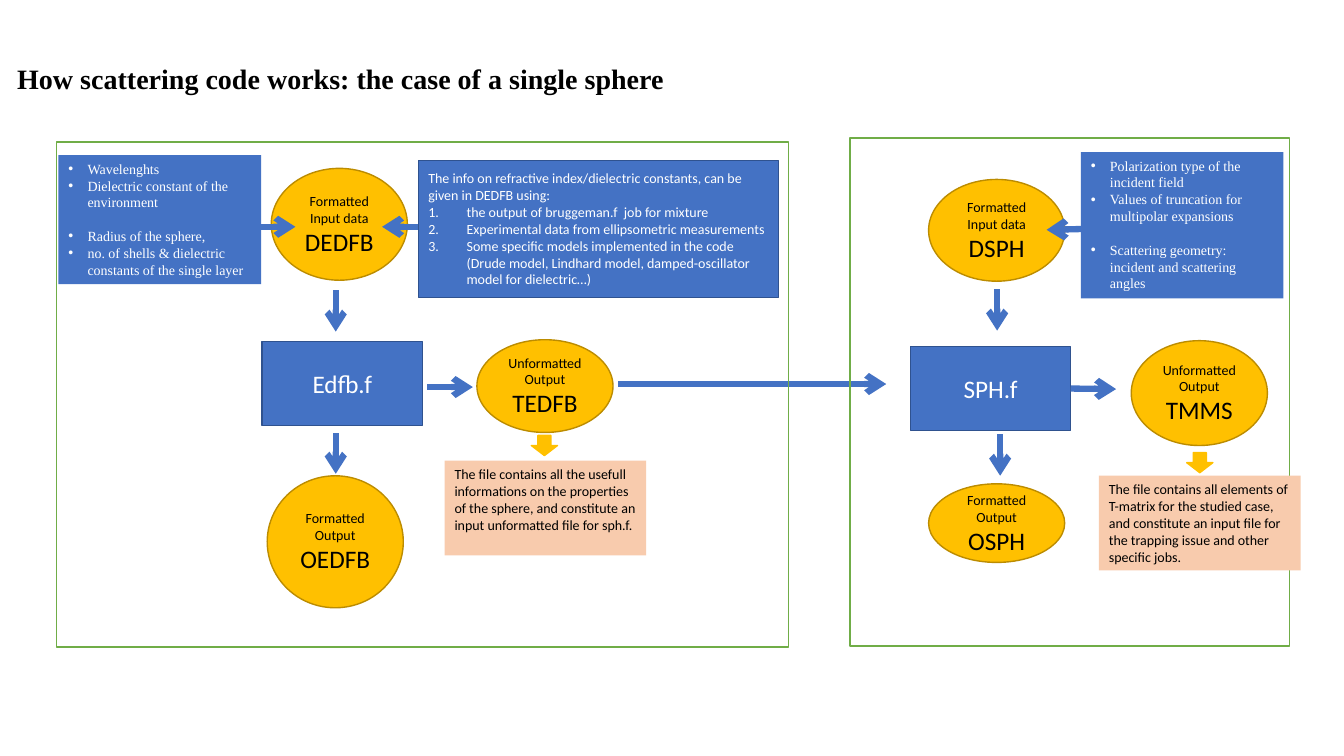
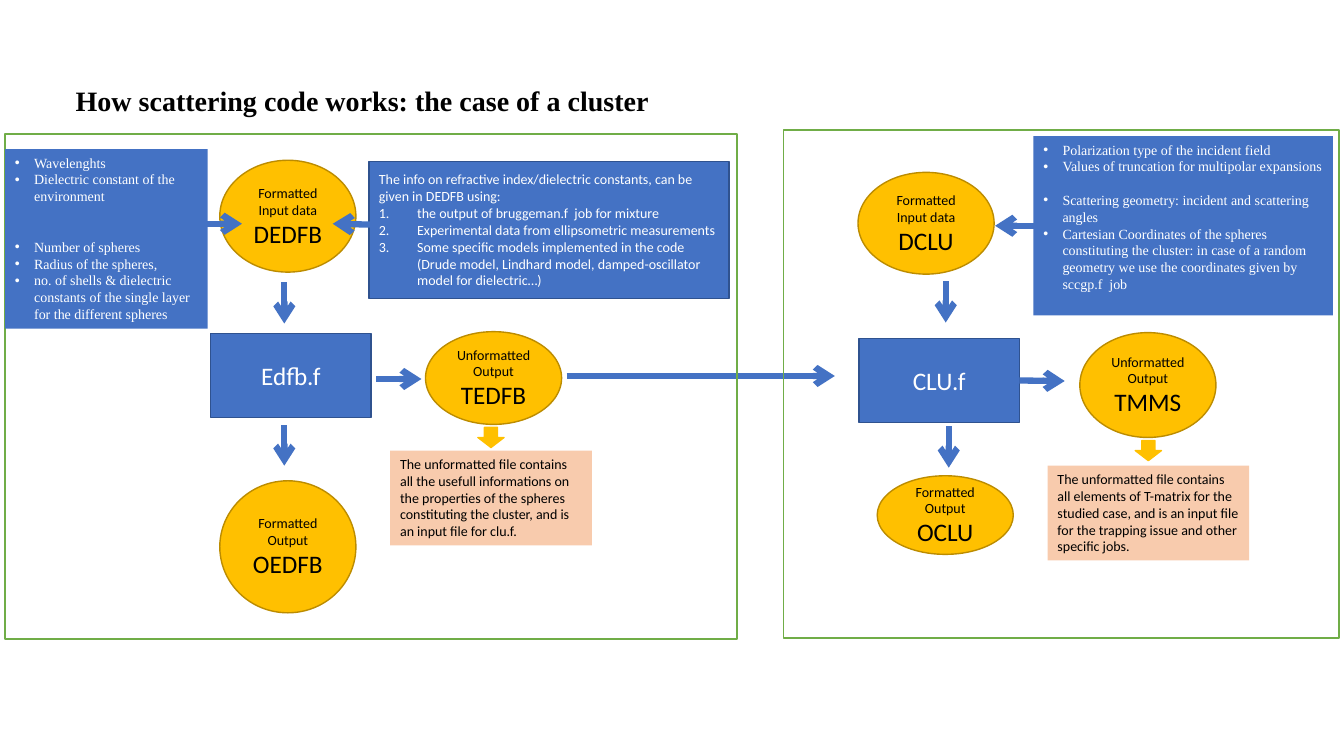
from dataclasses import dataclass

from lxml.etree import SubElement
from pptx import Presentation
from pptx.dml.color import RGBColor
from pptx.enum.shapes import MSO_CONNECTOR, MSO_SHAPE
from pptx.enum.text import MSO_ANCHOR, MSO_AUTO_SIZE, PP_ALIGN
from pptx.oxml.ns import qn
from pptx.util import Inches, Pt


@dataclass(frozen=True)
class Theme:
    """Colours, fonts and sizes shared by the slides."""
    blue: str = "4472C4"
    blue_edge: str = "2F528F"
    gold: str = "FFC000"
    gold_edge: str = "BC8C00"
    peach: str = "F8CBAD"
    green: str = "70AD47"
    white: str = "FFFFFF"
    black: str = "000000"
    sans: str = "Calibri"
    serif: str = "Times New Roman"
    title: int = 20
    name: int = 18
    body: int = 10
    edge: int = 1
    arrow: float = 4.5


T = Theme()
BULLETS = {
    "dot": (0.19, "a:buChar", {"char": "•"}),
    "num": (0.38, "a:buAutoNum", {"type": "arabicPeriod"}),
}

INFO = [
    ("The info on refractive index/dielectric constants, can be given in DEDFB using:", None, 0),
    ("the output of bruggeman.f  job for mixture", "num", 0),
    ("Experimental data from ellipsometric measurements", "num", 0),
    ("Some specific models implemented in the code (Drude model, Lindhard model, "
     "damped-oscillator model for dielectric…)", "num", 0),
]
MATERIAL = [("Wavelenghts", "dot", 0), ("Dielectric constant of the environment", "dot", 0)]
FIELD = [
    ("Polarization type of the incident field", "dot", 0),
    ("Values of truncation for multipolar expansions", "dot", 0),
    ("Scattering geometry: incident and scattering angles", "dot", 12),
]

PROGRAMS = {"edfb": "Edfb.f", "solver": "{code}.f"}
FILES = {
    "edfb_in": ("Formatted", "Input data", "DEDFB"),
    "edfb_data": ("Unformatted", "Output", "TEDFB"),
    "edfb_out": ("Formatted", "Output", "OEDFB"),
    "solver_in": ("Formatted", "Input data", "D{code}"),
    "solver_out": ("Formatted", "Output", "O{code}"),
    "matrix": ("Unformatted", "Output", "TMMS"),
}
FRAMES = ("solver_frame", "edfb_frame")
POINTERS = ("data_pointer", "matrix_pointer")

BOXES = {
    "edfb": (2.6, 3.39, 1.59, 0.83),
    "solver": (9.03, 3.44, 1.59, 0.83),
    "edfb_in": (2.69, 1.67, 1.35, 1.11),
    "edfb_data": (4.73, 3.37, 1.35, 0.92),
    "edfb_out": (2.65, 4.72, 1.35, 1.31),
    "solver_in": (9.21, 1.78, 1.35, 1.01),
    "solver_out": (9.21, 4.8, 1.35, 0.78),
    "matrix": (11.22, 3.38, 1.35, 1.04),
    "edfb_frame": (0.56, 1.41, 7.26, 5.01),
    "solver_frame": (8.43, 1.37, 4.36, 5.04),
    "info": (4.15, 1.59, 3.57, 1.36),
    "material": (0.58, 1.54, 2.01, 1.28),
    "field": (10.72, 1.51, 2.01, 1.45),
    "data_note": (4.41, 4.57, 2, 0.94),
    "matrix_note": (10.9, 4.72, 2, 0.94),
    "data_pointer": (5.27, 4.32, 0.26, 0.2),
    "matrix_pointer": (11.77, 4.49, 0.26, 0.2),
}
FLOWS = {
    "in_to_edfb": (3.33, 2.88, 3.33, 3.29),
    "edfb_to_out": (3.33, 4.3, 3.33, 4.7),
    "edfb_to_data": (4.24, 3.84, 4.69, 3.84),
    "data_to_solver": (6.13, 3.81, 8.79, 3.81),
    "in_to_solver": (9.89, 2.87, 9.89, 3.28),
    "solver_to_out": (9.92, 4.31, 9.92, 4.72),
    "solver_to_matrix": (10.62, 3.86, 11.07, 3.86),
}
FEEDS = {
    "material_feed": (2.49, 2.25, 2.93, 2.25),
    "info_feed": (4.15, 2.25, 3.79, 2.25),
    "field_feed": (10.84, 2.27, 10.38, 2.28),
}

SLIDES = [
    {
        "title": "How scattering code works: the case of a single sphere",
        "title_at": (0.07, 0.07),
        "code": "SPH",
        "shift": (0, 0),
        "places": {},
        "material": MATERIAL + [
            ("Radius of the sphere,", "dot", 12),
            ("no. of shells & dielectric constants of the single layer", "dot", 0),
        ],
        "field": FIELD,
        "data_note": "The file contains all the usefull informations on the properties of the "
                     "sphere, and constitute an input unformatted file for sph.f.",
        "matrix_note": "The file contains all elements of T-matrix for the studied case, and "
                       "constitute an input file for the trapping issue and other specific jobs.",
    },
    {
        "title": "How scattering code works: the case of a cluster",
        "title_at": (0.65, 0.29),
        "code": "CLU",
        "shift": (-0.51, -0.08),
        "places": {
            "edfb_out": (2.18, 4.77, 1.35, 1.31),
            "solver_in": (8.51, 1.71, 1.35, 1.01),
            "solver_frame": (7.77, 1.29, 5.51, 5.04),
            "info": (3.66, 1.6, 3.57, 1.36),
            "material": (0.05, 1.48, 2.01, 1.78),
            "field": (10.25, 1.35, 2.97, 1.78),
            "data_note": (3.87, 4.47, 2, 0.94),
            "matrix_note": (10.39, 4.62, 2, 0.94),
            "data_pointer": (4.74, 4.24, 0.26, 0.2),
            "matrix_pointer": (11.26, 4.37, 0.26, 0.2),
            "material_feed": (1.95, 2.22, 2.4, 2.22),
            "info_feed": (3.75, 2.23, 3.3, 2.22),
            "field_feed": (10.39, 2.24, 9.87, 2.24),
        },
        "material": MATERIAL + [
            ("Number of spheres", "dot", 24),
            ("Radius of the spheres,", "dot", 0),
            ("no. of shells & dielectric constants of the single layer for the different "
             "spheres", "dot", 0),
        ],
        "field": FIELD + [
            ("Cartesian Coordinates of the spheres constituting the cluster: in case of a random "
             "geometry we use the coordinates given by sccgp.f  job", "dot", 0),
        ],
        "data_note": "The unformatted file contains all the usefull informations on the properties "
                     "of the spheres constituting the cluster, and is an input file for clu.f.",
        "matrix_note": "The unformatted file contains all elements of T-matrix for the studied "
                       "case, and is an input file for the trapping issue and other specific jobs.",
    },
]


def rgb(color):
    """Turn a hex string into a colour."""
    return RGBColor.from_string(color)


def assign(obj, values):
    """Set each attribute named in a dict."""
    for key, value in values.items():
        setattr(obj, key, value)


def add_text(p, text, size, color, font=T.sans, bold=False):
    """Add one formatted run to a paragraph."""
    r = p.add_run()
    r.text = text
    assign(r.font, {"size": Pt(size), "name": font, "bold": bold})
    r.font.color.rgb = rgb(color)


def add_bullet(p, kind):
    """Give a paragraph a hanging bullet or number."""
    indent, tag, attrs = BULLETS[kind]
    pPr = p._p.get_or_add_pPr()
    pPr.set("marL", str(Inches(indent)))
    pPr.set("indent", str(-Inches(indent)))
    if kind == "dot":
        SubElement(pPr, qn("a:buFont"), {"typeface": "Arial"})
    SubElement(pPr, qn(tag), attrs)


def add_box(s, kind, box, fill=None, line=None):
    """Add a flat preset shape."""
    sp = s.shapes.add_shape(kind, *map(Inches, box))
    sp.shadow.inherit = False
    if fill:
        sp.fill.solid()
        sp.fill.fore_color.rgb = rgb(fill)
    else:
        sp.fill.background()
    if line:
        sp.line.color.rgb = rgb(line)
        sp.line.width = Pt(T.edge)
    else:
        sp.line.fill.background()
    return sp


def add_labels(sp, labels, color, margin):
    """Centre (text, size) lines in a shape."""
    tf = sp.text_frame
    assign(tf, {"word_wrap": True, "vertical_anchor": MSO_ANCHOR.MIDDLE,
                "margin_left": margin, "margin_right": margin})
    for i, (text, size) in enumerate(labels):
        p = tf.add_paragraph() if i else tf.paragraphs[0]
        p.alignment = PP_ALIGN.CENTER
        add_text(p, text, size, color)


def add_list(sp, items, color, font=T.sans, anchor=MSO_ANCHOR.TOP):
    """Write (text, bullet, space before) items into a shape."""
    tf = sp.text_frame
    assign(tf, {"word_wrap": True, "vertical_anchor": anchor})
    for i, (text, kind, gap) in enumerate(items):
        p = tf.add_paragraph() if i else tf.paragraphs[0]
        assign(p, {"alignment": PP_ALIGN.LEFT, "space_before": Pt(gap)})
        if kind:
            add_bullet(p, kind)
        add_text(p, text, T.body, color, font)


def add_arrow(s, ends):
    """Add a thick straight arrow."""
    c = s.shapes.add_connector(MSO_CONNECTOR.STRAIGHT, *map(Inches, ends))
    c.line.color.rgb = rgb(T.blue)
    c.line.width = Pt(T.arrow)
    SubElement(c.line._get_or_add_ln(), qn("a:tailEnd"), {"type": "arrow"})
    SubElement(c._element.spPr, qn("a:effectLst"))
    return c


def add_title(s, text, at):
    """Place and format the title placeholder."""
    sp = s.shapes.title
    assign(sp, dict(zip(("left", "top", "width", "height"), map(Inches, (*at, 11.5, 1.45)))))
    tf = sp.text_frame
    assign(tf, {"word_wrap": True, "auto_size": MSO_AUTO_SIZE.NONE,
                "vertical_anchor": MSO_ANCHOR.MIDDLE})
    p = tf.paragraphs[0]
    assign(p, {"alignment": PP_ALIGN.LEFT, "line_spacing": 0.9})
    add_text(p, text, T.title, T.black, T.serif, True)


def add_diagram(s, data):
    """Draw the flow of programs and files for one case."""
    dx, dy = data["shift"]
    code = data["code"]

    def box(name):
        x, y, w, h = BOXES[name]
        return data["places"].get(name, (x + dx, y + dy, w, h))

    def ends(name, flows):
        x1, y1, x2, y2 = flows[name]
        return data["places"].get(name, (x1 + dx, y1 + dy, x2 + dx, y2 + dy))

    programs = {}
    for name, label in PROGRAMS.items():
        sp = programs[name] = add_box(s, MSO_SHAPE.RECTANGLE, box(name), T.blue, T.blue_edge)
        add_labels(sp, [(label.format(code=code), T.name)], T.white, Inches(0.1))
    for name, labels in FILES.items():
        sp = add_box(s, MSO_SHAPE.OVAL, box(name), T.gold, T.gold_edge)
        sizes = (T.body, T.body, T.name)
        add_labels(sp, [(t.format(code=code), z) for t, z in zip(labels, sizes)], T.black, 0)
    flows = {name: add_arrow(s, ends(name, FLOWS)) for name in FLOWS}
    flows["solver_to_matrix"].begin_connect(programs["solver"], 3)
    for name in FRAMES:
        add_box(s, MSO_SHAPE.RECTANGLE, box(name), line=T.green)
    info = add_box(s, MSO_SHAPE.RECTANGLE, box("info"), T.blue, T.blue_edge)
    add_list(info, INFO, T.white, anchor=MSO_ANCHOR.MIDDLE)
    for name in ("material", "field"):
        add_list(add_box(s, MSO_SHAPE.RECTANGLE, box(name), T.blue), data[name], T.white, T.serif)
    for name in ("data_note", "matrix_note"):
        sp = add_box(s, MSO_SHAPE.RECTANGLE, box(name), T.peach)
        add_list(sp, [(data[name], None, 0)], T.black)
    for name in POINTERS:
        add_box(s, MSO_SHAPE.DOWN_ARROW, box(name), T.gold, T.gold)
    for name in FEEDS:
        add_arrow(s, ends(name, FEEDS))


def main():
    """Build and save the presentation."""
    prs = Presentation()
    assign(prs, {"slide_width": Inches(13.33), "slide_height": Inches(7.5)})
    for data in SLIDES:
        s = prs.slides.add_slide(prs.slide_layouts[5])
        add_title(s, data["title"], data["title_at"])
        add_diagram(s, data)
    prs.save("out.pptx")


if __name__ == "__main__":
    main()
